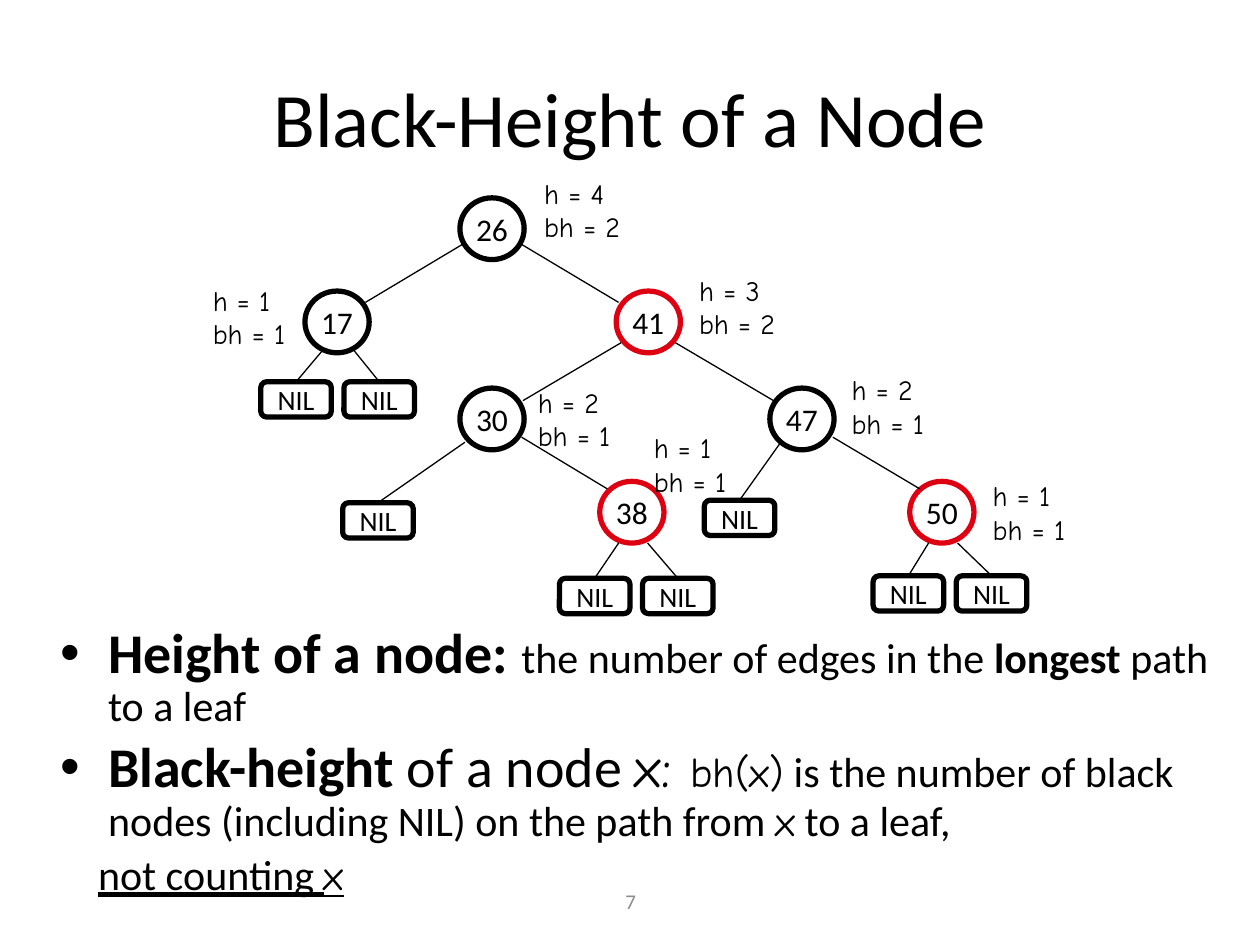
from lxml import etree
from pptx import Presentation
from pptx.dml.color import RGBColor
from pptx.enum.shapes import MSO_CONNECTOR, MSO_SHAPE
from pptx.enum.text import MSO_ANCHOR, MSO_AUTO_SIZE, PP_ALIGN
from pptx.oxml.ns import qn
from pptx.util import Pt

PX = 9144  # 100 px to the inch
STRAIGHT = MSO_CONNECTOR.STRAIGHT
ELLIPSE, ROUNDED = MSO_SHAPE.OVAL, MSO_SHAPE.ROUNDED_RECTANGLE
TOP, MIDDLE = MSO_ANCHOR.TOP, MSO_ANCHOR.MIDDLE
LEFT, CENTER = PP_ALIGN.LEFT, PP_ALIGN.CENTER
GROW = MSO_AUTO_SIZE.SHAPE_TO_FIT_TEXT

COLORS = {"black": "000000", "red": "DD0111", "gray": "8C8C8C"}
SANS, COMIC = "Calibri", "Comic Neue"
NODE_WIDTH, NODE_HEIGHT = 51, 49
NIL_WIDTH, NIL_HEIGHT, NIL_STEP = 56, 28, 66

# key: (left, top, color)
NODES = {
    "26": (365, 157, "black"),
    "17": (242, 231, "black"),
    "41": (489, 231, "red"),
    "30": (365, 308, "black"),
    "47": (611, 308, "black"),
    "38": (476, 382, "red"),
    "50": (722, 382, "red"),
}
EDGES = [
    (367, 194, 290, 240), (414, 194, 491, 240),
    (493, 272, 415, 318), (536, 272, 614, 318),
    (414, 347, 482, 388), (661, 347, 730, 388),
]
# parent, left of the first NIL, top of both, start of the edges
NIL_PAIRS = [("17", 207, 303, 277), ("38", 444, 459, 431), ("50", 693, 457, 431)]
# left, top, start of the edge
SINGLE_NILS = [(272, 399, (369, 351)), (559, 397, (619, 352))]
# left, top, width, height of the node, black-height
LABELS = [
    (422, 135, 84, 4, 2), (545, 212, 84, 3, 2), (666, 291, 81, 2, 1),
    (778, 375, 81, 1, 1), (159, 220, 81, 1, 1), (417, 301, 81, 2, 1),
    (509, 337, 81, 1, 1),
]
# (margin, hanging indent, bullet, runs); run: (text, size, font, bold, underline)
BODY = [
    (38, -38, "•", [
        ("Height of a node: ", 32, SANS, True, False),
        ("the number of edges in the ", 24, SANS, False, False),
        ("longest ", 24, SANS, True, False),
        ("path to a leaf", 24, SANS, False, False),
    ]),
    (38, -38, "•", [
        ("Black-height ", 32, SANS, True, False),
        ("of a node ", 32, SANS, False, False),
        ("x: ", 32, COMIC, False, False),
        ("bh(x)", 24, COMIC, False, False),
        (" is the number of black nodes (including NIL) on the path from ",
         24, SANS, False, False),
        ("x", 24, COMIC, False, False),
        (" to a leaf,", 24, SANS, False, False),
    ]),
    (30, 0, None, [
        ("not counting ", 24, SANS, False, True),
        ("x", 24, COMIC, False, True),
    ]),
]


class SlideBuilder:
    def __init__(self, slide):
        self.slide = slide

    def color(self, name):
        return RGBColor.from_string(COLORS[name])

    def run(self, paragraph, text, size, font=SANS, bold=False,
            underline=False, color="black"):
        run = paragraph.add_run()
        run.text = text
        run.font.name, run.font.size = font, Pt(size)
        run.font.bold, run.font.underline = bold, underline
        run.font.color.rgb = self.color(color)

    def text_box(self, left, top, width, height, anchor=TOP, wrap=True):
        box = self.slide.shapes.add_textbox(
            left * PX, top * PX, width * PX, height * PX)
        frame = box.text_frame
        frame.word_wrap, frame.vertical_anchor = wrap, anchor
        return frame

    def line_of_text(self, box, text, size, color="black"):
        """A text box with one centred line."""
        paragraph = self.text_box(*box, anchor=MIDDLE).paragraphs[0]
        paragraph.alignment = CENTER
        self.run(paragraph, text, size, color=color)

    def outlined(self, kind, box, text, size, color="black"):
        """An unfilled shape with a thick outline and centred text."""
        shape = self.slide.shapes.add_shape(kind, *(value * PX for value in box))
        shape.shadow.inherit = False
        shape.fill.background()
        shape.line.color.rgb = self.color(color)
        shape.line.width = Pt(3)
        frame = shape.text_frame
        frame.word_wrap, frame.vertical_anchor = False, MIDDLE
        frame.paragraphs[0].alignment = CENTER
        self.run(frame.paragraphs[0], text, size)
        return shape

    def node(self, key, left, top, color):
        self.outlined(ELLIPSE, (left, top, NODE_WIDTH, NODE_HEIGHT), key, 18, color)

    def edge(self, x1, y1, x2, y2):
        line = self.slide.shapes.add_connector(
            STRAIGHT, x1 * PX, y1 * PX, x2 * PX, y2 * PX)
        line.line.color.rgb = self.color("black")
        line.line.width = Pt(0.75)
        etree.SubElement(line._element.spPr, qn("a:effectLst"))
        return line

    def nil(self, left, top, start):
        """A NIL leaf, joined at its top to the edge from start."""
        leaf = self.outlined(ROUNDED, (left, top, NIL_WIDTH, NIL_HEIGHT), "NIL", 16)
        self.edge(*start, left + NIL_WIDTH // 2, top).end_connect(leaf, 0)

    def label(self, left, top, width, height, black_height):
        frame = self.text_box(left, top, width, 64, wrap=False)
        frame.auto_size = GROW
        self.run(frame.paragraphs[0], f"h = {height}", 16, COMIC)
        self.run(frame.add_paragraph(), f"bh = {black_height}", 16, COMIC)

    def body(self, box, items):
        frame = self.text_box(*box)
        for index, (margin, indent, bullet, runs) in enumerate(items):
            paragraph = frame.add_paragraph() if index else frame.paragraphs[0]
            paragraph.alignment = LEFT
            paragraph.line_spacing = 0.9
            paragraph.space_before = Pt(5)
            properties = paragraph._p.get_or_add_pPr()
            properties.set("marL", str(margin * PX))
            properties.set("indent", str(indent * PX))
            if bullet:
                etree.SubElement(properties, qn("a:buFont"), typeface="Arial")
                etree.SubElement(properties, qn("a:buChar"), char=bullet)
            for run in runs:
                self.run(paragraph, *run)


def main():
    presentation = Presentation()
    presentation.slide_width, presentation.slide_height = 1000 * PX, 750 * PX
    slide = presentation.slides.add_slide(presentation.slide_layouts[6])
    builder = SlideBuilder(slide)

    builder.line_of_text((342, 695, 317, 40), "7", 12, "gray")
    builder.line_of_text((50, 30, 900, 125), "Black-Height of a Node", 44)
    builder.body((38, 491, 934, 236), BODY)

    for key, (left, top, color) in NODES.items():
        builder.node(key, left, top, color)
    for edge in EDGES:
        builder.edge(*edge)
    for parent, left, top, start_y in NIL_PAIRS:
        for side, offset in enumerate((15, 38)):
            start = (NODES[parent][0] + offset, start_y)
            builder.nil(left + side * NIL_STEP, top, start)
    for nil in SINGLE_NILS:
        builder.nil(*nil)
    for label in LABELS:
        builder.label(*label)

    presentation.save("out.pptx")


if __name__ == "__main__":
    main()
